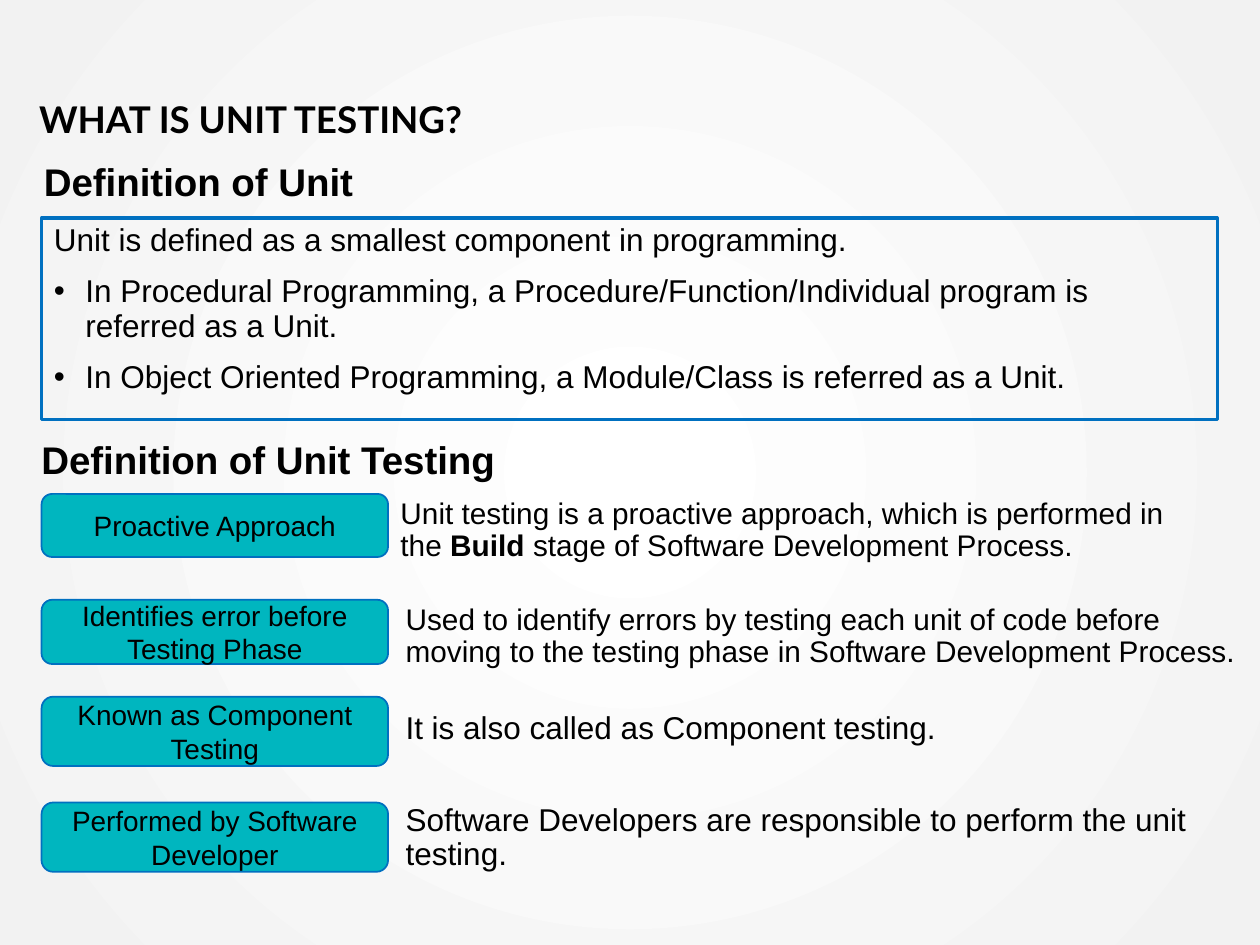
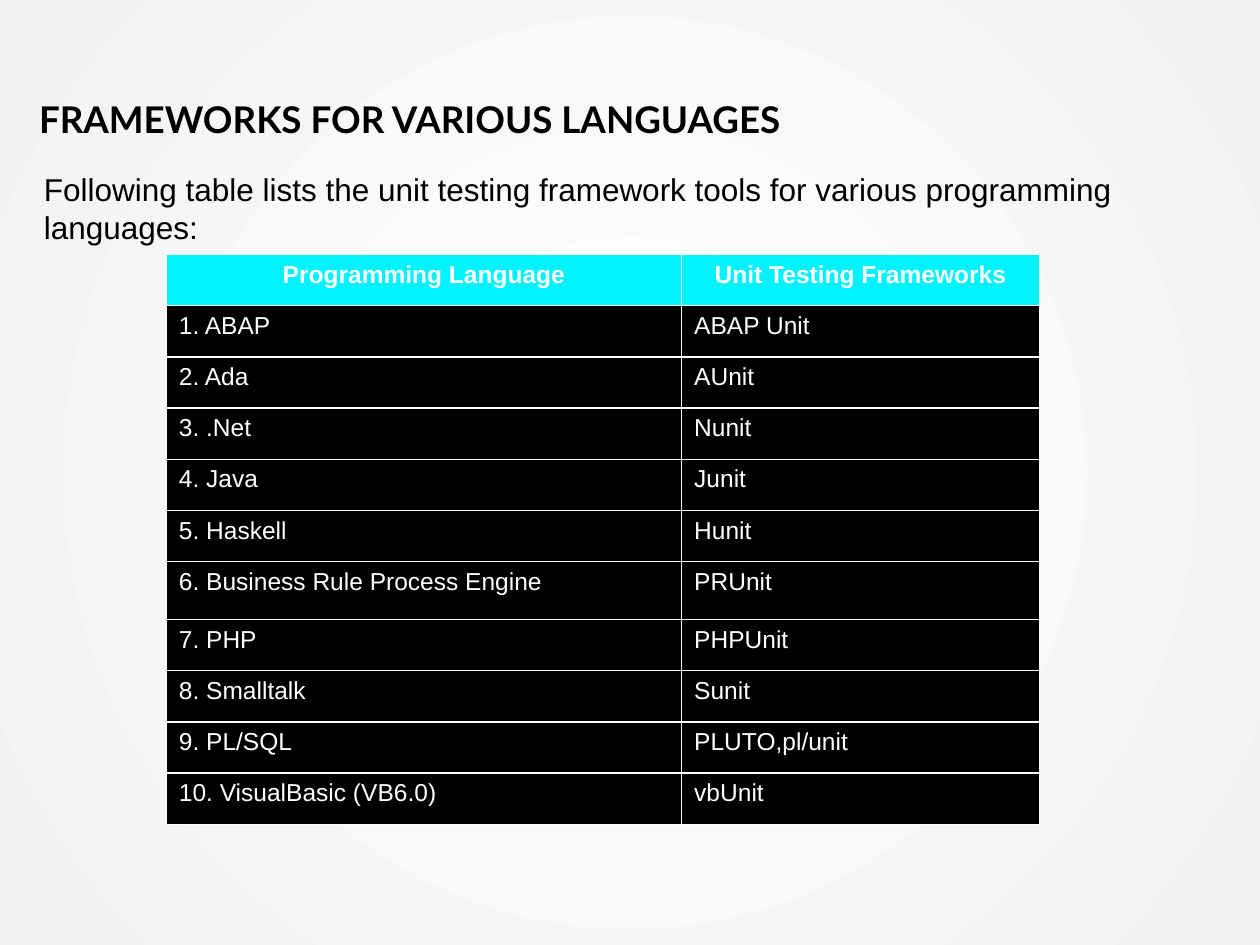
from lxml import etree
from pptx import Presentation
from pptx.dml.color import RGBColor
from pptx.enum.shapes import MSO_SHAPE
from pptx.enum.text import MSO_ANCHOR, MSO_AUTO_SIZE, PP_ALIGN
from pptx.oxml.ns import qn
from pptx.util import Emu, Inches, Pt

WIDE, HIGH = Inches(10), Inches(7.5)
BLACK = RGBColor(0x00, 0x00, 0x00)
WHITE = RGBColor(0xFF, 0xFF, 0xFF)
PALE = RGBColor(0xF2, 0xF2, 0xF2)
BLUE = RGBColor(0x00, 0x70, 0xC0)
TEAL = RGBColor(0x00, 0xB6, 0xBF)
CYAN = RGBColor(0x00, 0xF3, 0xFF)
RECT, ROUND = MSO_SHAPE.RECTANGLE, MSO_SHAPE.ROUNDED_RECTANGLE
LEFT, CENTER = PP_ALIGN.LEFT, PP_ALIGN.CENTER
TOP, MIDDLE, BOTTOM = MSO_ANCHOR.TOP, MSO_ANCHOR.MIDDLE, MSO_ANCHOR.BOTTOM
FIXED = MSO_AUTO_SIZE.NONE

UNIT = (
    "Unit is defined as a smallest component in programming.",
    "• In Procedural Programming, a Procedure/Function/Individual program is referred as a Unit.",
    "• In Object Oriented Programming, a Module/Class is referred as a Unit.",
)

TRAITS = (
    ("Proactive Approach", (52.27, 6.67),
     "Unit testing is a proactive approach, which is performed in the "
     "**Build** stage of Software Development Process.",
     (30.8, 52.13, 65.8, 10.13), 17),
    ("Identifies error before Testing Phase", (63.47, 6.8),
     "Used to identify errors by testing each unit of code before "
     "moving to the testing phase in Software Development Process.",
     (31.2, 63.33, 68.8, 10), 17),
    ("Known as Component Testing", (73.73, 7.33),
     "It is also called as Component testing.",
     (31.2, 74.67, 65.8, 6.4), 18),
    ("Performed by Software Developer", (84.93, 7.33),
     "Software Developers are responsible to perform the unit testing.",
     (31.2, 84.4, 65.5, 7.87), 18),
)

HEADS = ("Programming Language", "Unit Testing Frameworks")
TOOLS = (
    ("ABAP", "ABAP Unit"),
    ("Ada", "AUnit"),
    (".Net", "Nunit"),
    ("Java", "Junit"),
    ("Haskell", "Hunit"),
    ("Business Rule Process Engine", "PRUnit"),
    ("PHP", "PHPUnit"),
    ("Smalltalk", "Sunit"),
    ("PL/SQL", "PLUTO,pl/unit"),
    ("VisualBasic (VB6.0)", "vbUnit"),
)
ROW, TALL, TALL_AT = 5.42, 6.13, 6


def across(share):
    """Turn a percentage of the slide's width into a length."""
    return Emu(int(WIDE * share / 100))


def down(share):
    """Turn a percentage of the slide's height into a length."""
    return Emu(int(HIGH * share / 100))


def place(x, y, w, h):
    """Turn a box in percentages into left, top, width and height."""
    return across(x), down(y), across(w), down(h)


def apply(item, form):
    """Set each attribute of the item named in the dict."""
    for name, value in form.items():
        setattr(item, name, value)


def add_bullet(para):
    """Give the paragraph a round bullet with a hanging indent."""
    props = para._p.get_or_add_pPr()
    props.set("marL", str(Inches(0.25)))
    props.set("indent", str(-Inches(0.25)))
    etree.SubElement(props, qn("a:buFont")).set("typeface", "Arial")
    etree.SubElement(props, qn("a:buChar")).set("char", "•")


def write(frame, lines, size, face="Arial", color=BLACK, bold=False,
          align=LEFT, space=None):
    """Write the lines, with starred parts in bold and dots as bullets."""
    for i, line in enumerate(lines):
        para = frame.paragraphs[0] if i == 0 else frame.add_paragraph()
        gap = Pt(10 if i else 0)
        apply(para, {"alignment": align, "line_spacing": space,
                     "space_before": gap})
        if line.startswith("• "):
            add_bullet(para)
        for j, part in enumerate(line.removeprefix("• ").split("**")):
            run = para.add_run()
            run.text = part
            apply(run.font, {"name": face, "size": Pt(size),
                             "bold": bold or j % 2 == 1})
            run.font.color.rgb = color


def add_text(slide, box, line, size, **form):
    """Add a wrapping text box."""
    frame = slide.shapes.add_textbox(*place(*box)).text_frame
    frame.word_wrap = True
    write(frame, [line], size, **form)


def add_box(slide, kind, box, lines, size, fill=None, weight=1,
            anchor=MIDDLE, **form):
    """Add a blue-edged shape that holds text."""
    shape = slide.shapes.add_shape(kind, *place(*box))
    shape.shadow.inherit = False
    if fill is None:
        shape.fill.background()
    else:
        shape.fill.solid()
        shape.fill.fore_color.rgb = fill
    shape.line.color.rgb = BLUE
    shape.line.width = Pt(weight)
    apply(shape.text_frame, {"word_wrap": True, "vertical_anchor": anchor})
    write(shape.text_frame, lines, size, **form)


def add_edges(cell):
    """Draw white borders round the cell."""
    props = cell._tc.get_or_add_tcPr()
    for side in "LRTB":
        edge = etree.SubElement(props, qn(f"a:ln{side}"), w=str(Pt(1)))
        fill = etree.SubElement(edge, qn("a:solidFill"))
        etree.SubElement(fill, qn("a:srgbClr")).set("val", str(WHITE))


def add_grid(slide, x, y, cols, rows):
    """Add the table with its cyan head row and black body."""
    highs = [TALL if i == TALL_AT else ROW for i in range(len(rows))]
    box = place(x, y, sum(cols), sum(highs))
    table = slide.shapes.add_table(len(rows), len(cols), *box).table
    for col, width in zip(table.columns, cols):
        col.width = across(width)
    for i, row in enumerate(rows):
        head = i == 0
        table.rows[i].height = down(highs[i])
        for j, text in enumerate(row):
            cell = table.cell(i, j)
            add_edges(cell)
            cell.fill.solid()
            cell.fill.fore_color.rgb = CYAN if head else BLACK
            write(cell.text_frame, [text], 14, color=WHITE, bold=head,
                  align=CENTER if head else LEFT)


def paint(master):
    """Give the master a round gradient from white to pale grey."""
    fill = master.background.fill
    fill.gradient()
    for stop, color, spot in zip(fill.gradient_stops, (WHITE, PALE), (0.02, 1)):
        stop.color.rgb = color
        stop.position = spot
    grad = master.element.find(".//" + qn("p:bgPr")).find(qn("a:gradFill"))
    grad.remove(grad.find(qn("a:lin")))
    ring = etree.SubElement(grad, qn("a:path"))
    ring.set("path", "circle")
    etree.SubElement(ring, qn("a:fillToRect"), dict.fromkeys("ltrb", "50000"))


def add_slide(deck, title):
    """Add a title-only slide and format its title."""
    slide = deck.slides.add_slide(deck.slide_layouts[5])
    shape = slide.shapes.title
    spots = place(3.1, 0, 93.8, 14.8)
    apply(shape, dict(zip(("left", "top", "width", "height"), spots)))
    apply(shape.text_frame, {
        "auto_size": FIXED, "word_wrap": True, "vertical_anchor": BOTTOM,
        "margin_left": 0, "margin_right": 0, "margin_bottom": 0,
        "margin_top": Inches(0.05)})
    write(shape.text_frame, [title], 21, face="Lato", bold=True, space=0.7)
    return slide


def add_unit(deck):
    """Build the slide that defines unit testing."""
    slide = add_slide(deck, "WHAT IS UNIT TESTING?")
    add_text(slide, (2.5, 16.67, 28.7, 5.73), "Definition of Unit", 22,
             bold=True, space=0.9)
    add_box(slide, RECT, (3.3, 23.07, 93.3, 21.33), UNIT, 18,
            weight=1.75, anchor=TOP, space=0.9)
    add_text(slide, (2.3, 46, 40.2, 6.13), "Definition of Unit Testing", 22,
             bold=True, space=0.9)
    for label, (y, h), note, box, size in TRAITS:
        add_box(slide, ROUND, (3.3, y, 27.5, h), [label], 16,
                fill=TEAL, align=CENTER)
        add_text(slide, box, note, size, space=0.9)


def add_tools(deck):
    """Build the slide that lists the frameworks."""
    slide = add_slide(deck, "FRAMEWORKS FOR VARIOUS LANGUAGES")
    add_text(slide, (2.5, 17.33, 94.2, 9.47),
             "Following table lists the unit testing framework tools for "
             "various programming languages:", 18)
    body = [(f"{i}. {name}", tool) for i, (name, tool) in enumerate(TOOLS, 1)]
    add_grid(slide, 13.2, 26.93, (40.9, 28.4), [HEADS, *body])


def main():
    """Build and save the deck."""
    deck = Presentation()
    apply(deck, {"slide_width": WIDE, "slide_height": HIGH})
    paint(deck.slide_master)
    add_unit(deck)
    add_tools(deck)
    deck.save("out.pptx")


if __name__ == "__main__":
    main()
